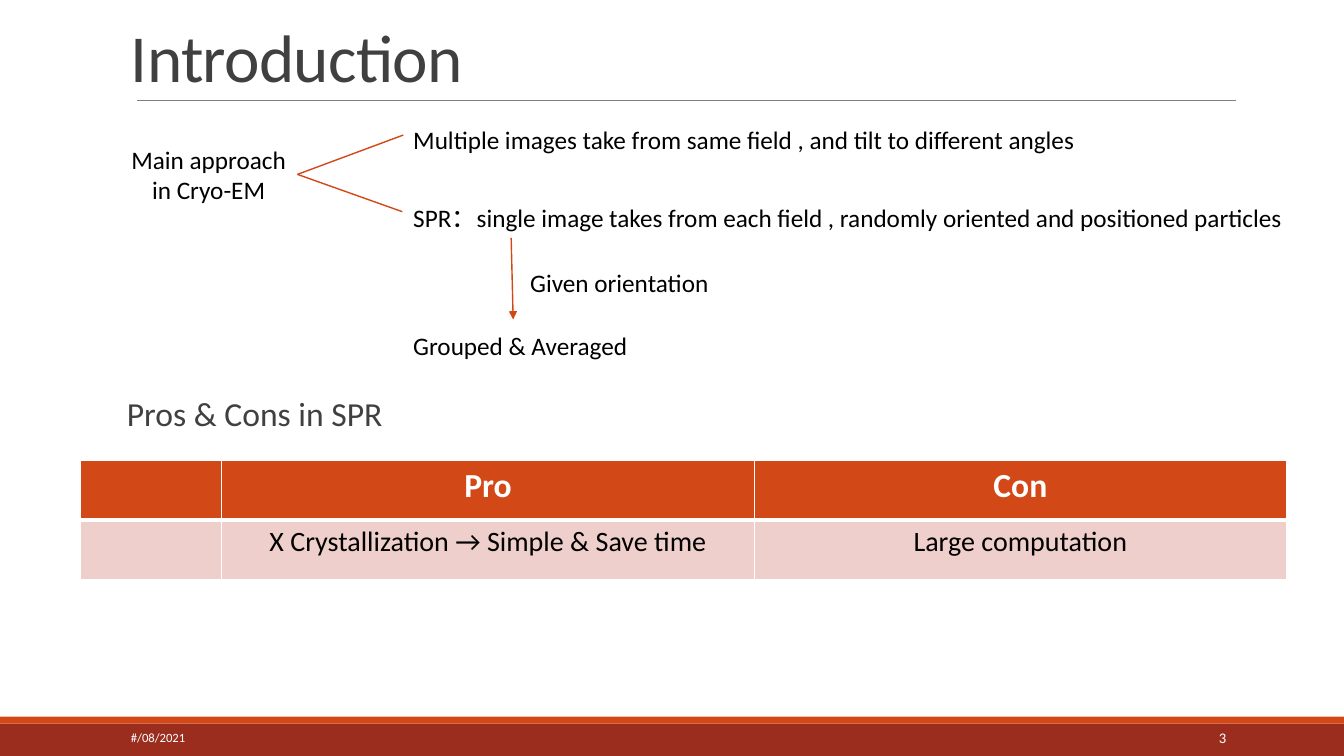
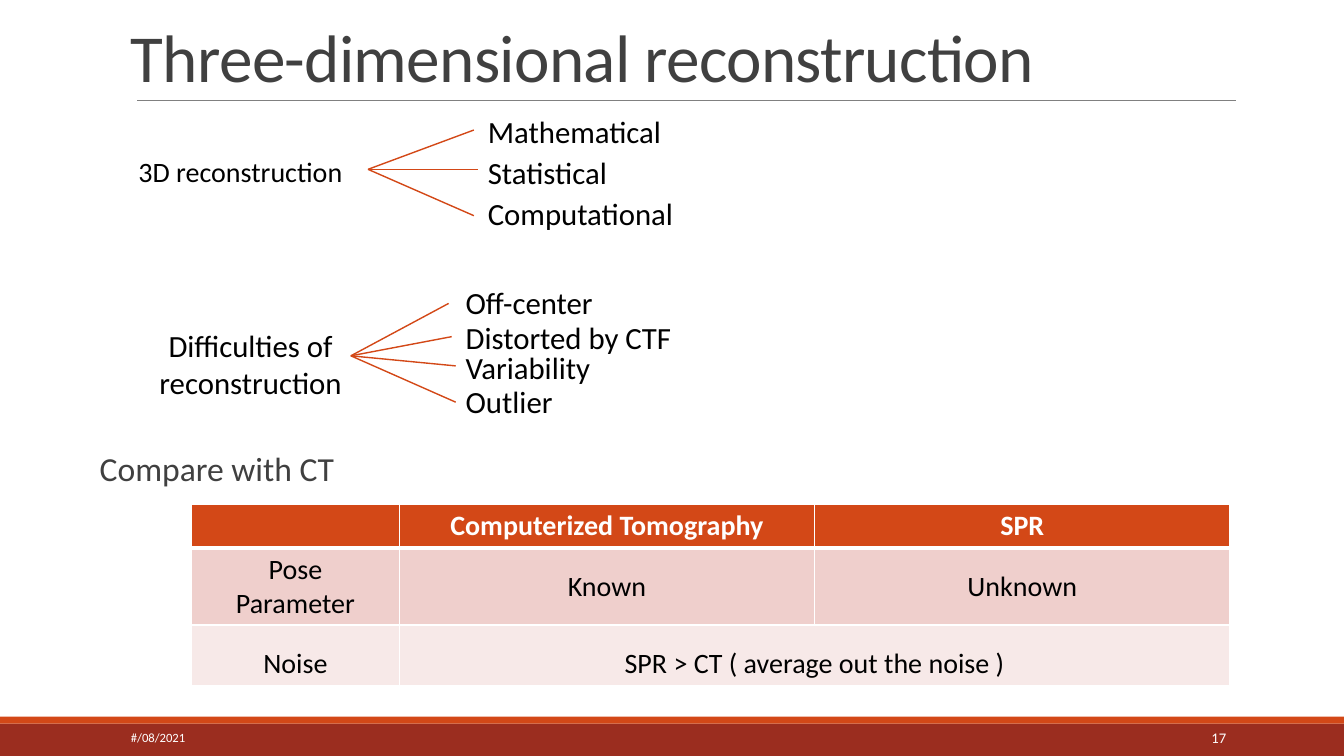
from dataclasses import dataclass

from lxml.etree import SubElement
from pptx import Presentation
from pptx.dml.color import RGBColor
from pptx.enum.shapes import MSO_CONNECTOR as Connector, MSO_SHAPE as Preset
from pptx.enum.text import MSO_ANCHOR as Anchor, PP_ALIGN as Align
from pptx.oxml.ns import qn
from pptx.util import Inches, Pt


@dataclass(frozen=True)
class Theme:
    font: str = "Calibri"
    band: str = "9B2D1F"
    accent: str = "D34817"
    rule: str = "808080"
    heading: str = "404040"
    body: str = "000000"
    light: str = "FFFFFF"
    row_tints: tuple = ("EFCFCC", "F7E9E8")
    title_size: float = 48
    heading_size: float = 24
    branch_size: float = 22
    table_size: float = 20
    body_size: float = 18
    number_size: float = 10.5
    date_size: float = 9


THEME = Theme()
SLIDE_WIDTH, SLIDE_HEIGHT = 13.33, 7.5


def color(value):
    return RGBColor.from_string(value)


def inches(*lengths):
    return [Inches(length) for length in lengths]


def write(frame, lines, size, ink=THEME.body, bold=False, **formats):
    """Fill a text frame, one paragraph per line; formats apply to paragraphs."""
    font_formats = {"name": THEME.font, "size": Pt(size), "bold": bold}
    for index, line in enumerate(lines):
        paragraph = frame.paragraphs[0] if index == 0 else frame.add_paragraph()
        for name, value in formats.items():
            setattr(paragraph, name, value)
        run = paragraph.add_run()
        run.text = line
        for name, value in font_formats.items():
            setattr(run.font, name, value)
        run.font.color.rgb = color(ink)


def add_text(slide, box, lines, size, ink=THEME.body, anchor=Anchor.TOP, **formats):
    frame = slide.shapes.add_textbox(*inches(*box)).text_frame
    frame.word_wrap = True
    frame.vertical_anchor = anchor
    write(frame, lines, size, ink, **formats)
    return frame


def add_line(slide, start, end, ink=THEME.accent, width=1, arrow=False):
    line = slide.shapes.add_connector(Connector.STRAIGHT, *inches(*start, *end))
    line.line.color.rgb = color(ink)
    line.line.width = Pt(width)
    if arrow:
        SubElement(line.line._get_or_add_ln(), qn("a:tailEnd"), type="triangle")
    SubElement(line._element.spPr, qn("a:effectLst"))


def add_band(slide, top, height, fill):
    band = slide.shapes.add_shape(
        Preset.RECTANGLE, *inches(0, top, SLIDE_WIDTH, height))
    band.shadow.inherit = False
    band.fill.solid()
    band.fill.fore_color.rgb = color(fill)
    band.line.fill.background()


def add_page(presentation, title, number):
    """Start a slide with the shared title, rule, bands and footer."""
    slide = presentation.slides.add_slide(presentation.slide_layouts[6])
    # Bands and rule
    add_band(slide, 7.18, 0.32, THEME.band)
    add_band(slide, 7.11, 0.07, THEME.accent)
    add_line(slide, (1.36, 1), (12.26, 1), THEME.rule, 0.5)
    # Title
    frame = add_text(slide, (1.2, -0.02, 11, 1.02), [title], THEME.title_size,
                     THEME.heading, Anchor.BOTTOM, line_spacing=0.85)
    frame.paragraphs[0].runs[0].font._element.set("spc", "-50")
    # Footer
    add_text(slide, (1.2, 7.18, 2.7, 0.28), ["#/08/2021"], THEME.date_size,
             THEME.light, Anchor.MIDDLE)
    add_text(slide, (10.83, 7.18, 1.43, 0.28), [str(number)], THEME.number_size,
             THEME.light, Anchor.MIDDLE, alignment=Align.RIGHT)
    return slide


def add_fan(slide, box, label, label_top, label_size, hub, branches, text_left, size):
    """Draw a label whose lines fan out to branches, all relative to the box.

    Each branch is (text, top of the text, tip of its line).
    """
    left, top, width, label_width = box
    add_text(slide, (left, top + label_top, label_width, 0.44), label,
             label_size, alignment=Align.CENTER)
    start = (left + hub[0], top + hub[1])
    for text, text_top, (tip_x, tip_y) in branches:
        add_line(slide, start, (left + tip_x, top + tip_y))
        add_text(slide, (left + text_left, top + text_top, width - text_left, 0.47),
                 [text], size)


def add_step(slide, box, condition, result):
    """Draw an arrow with its condition beside it and its result below."""
    left, top, width, height = box
    add_line(slide, (left + 1.07, top), (left + 1.09, top + 0.81), arrow=True)
    add_text(slide, (left + 1.16, top + 0.24, width - 1.16, 0.4),
             [condition], THEME.body_size)
    add_text(slide, (left, top + height - 0.4, width, 0.4),
             [result], THEME.body_size)


def style_cell(cell, fill, bottom_width):
    properties = cell._tc.get_or_add_tcPr()
    widths = {"a:lnL": 1, "a:lnR": 1, "a:lnT": 1, "a:lnB": bottom_width}
    for tag, width in widths.items():
        border = SubElement(properties, qn(tag), w=str(Pt(width)))
        solid = SubElement(border, qn("a:solidFill"))
        SubElement(solid, qn("a:srgbClr"), val=THEME.light)
    cell.fill.solid()
    cell.fill.fore_color.rgb = color(fill)


def add_grid(slide, left, top, columns, heights, rows, header_size, spacing=1):
    """Draw a table; a row with fewer entries spans its last one to the edge."""
    table = slide.shapes.add_table(
        len(rows), len(columns),
        *inches(left, top, sum(columns), sum(heights))).table
    for column, width in zip(table.columns, columns):
        column.width = Inches(width)
    for row_index, entries in enumerate(rows):
        table.rows[row_index].height = Inches(heights[row_index])
        header = row_index == 0
        fill = THEME.accent if header else THEME.row_tints[row_index - 1]
        for column_index in range(len(columns)):
            style_cell(table.cell(row_index, column_index), fill, 3 if header else 1)
        for column_index, text in enumerate(entries):
            lines = text.split("\n") if text else []
            single = not header and len(lines) == 1
            write(table.cell(row_index, column_index).text_frame, lines,
                  header_size if header else THEME.table_size,
                  THEME.light if header else THEME.body, header,
                  alignment=Align.CENTER, line_spacing=spacing if single else 1)
        if len(entries) < len(columns):
            table.cell(row_index, len(entries) - 1).merge(
                table.cell(row_index, len(columns) - 1))


def build_introduction(presentation):
    slide = add_page(presentation, "Introduction", 3)
    # Approaches
    add_fan(slide, (1.2, 1.18, 11.98, 1.74), ["Main approach", "in Cryo-EM"],
            0.2, THEME.body_size, (1.75, 0.55), [
                ("Multiple images take from same field , and tilt to different angles",
                 0, (2.8, 0.16)),
                ("SPR：single image takes from each field , "
                 "randomly oriented and positioned particles", 0.78, (2.79, 0.92)),
            ], 2.8, THEME.body_size)
    add_step(slide, (4, 2.36, 4.08, 1.27), "Given orientation", "Grouped & Averaged")
    # Pros and cons
    add_text(slide, (1.16, 3.85, 8.69, 0.5), ["Pros & Cons in SPR"],
             THEME.heading_size, THEME.heading)
    add_grid(slide, 0.8, 4.57, (1.4, 5.28, 5.28), (0.59, 0.59), [
        ("", "Pro", "Con"),
        ("", "X Crystallization → Simple & Save time", "Large computation"),
    ], THEME.heading_size)


def build_reconstruction(presentation):
    slide = add_page(presentation, "Three-dimensional reconstruction", 17)
    # Kinds of reconstruction
    add_fan(slide, (1.27, 1.07, 6.45, 2.23), ["3D reconstruction"],
            0.41, THEME.table_size, (2.38, 0.61), [
                ("Mathematical", 0, (3.43, 0.22)),
                ("Statistical", 0.41, (3.47, 0.61)),
                ("Computational", 0.81, (3.43, 1.07)),
            ], 3.47, THEME.branch_size)
    # Difficulties
    add_fan(slide, (1.45, 2.77, 6.05, 2.07), ["Difficulties of", "reconstruction"],
            0.42, THEME.branch_size, (2.03, 0.76), [
                ("Off-center", 0, (3, 0.24)),
                ("Distorted by CTF", 0.34, (3.03, 0.57)),
                ("Variability", 0.64, (3.07, 0.86)),
                ("Outlier", 0.98, (3.07, 1.22)),
            ], 3.07, THEME.branch_size)
    # Comparison
    add_text(slide, (0.89, 4.39, 3.01, 0.51), ["Compare with CT"],
             THEME.heading_size, THEME.heading)
    add_grid(slide, 1.9, 5, (2.06, 4.12, 4.12), (0.42, 0.75, 0.6), [
        ("", "Computerized Tomography", "SPR"),
        ("Pose\nParameter", "Known", "Unknown"),
        ("Noise", "SPR > CT ( average out the noise )"),
    ], THEME.table_size, spacing=1.5)


def main():
    presentation = Presentation()
    presentation.slide_width = Inches(SLIDE_WIDTH)
    presentation.slide_height = Inches(SLIDE_HEIGHT)
    build_introduction(presentation)
    build_reconstruction(presentation)
    presentation.save("out.pptx")


if __name__ == "__main__":
    main()
